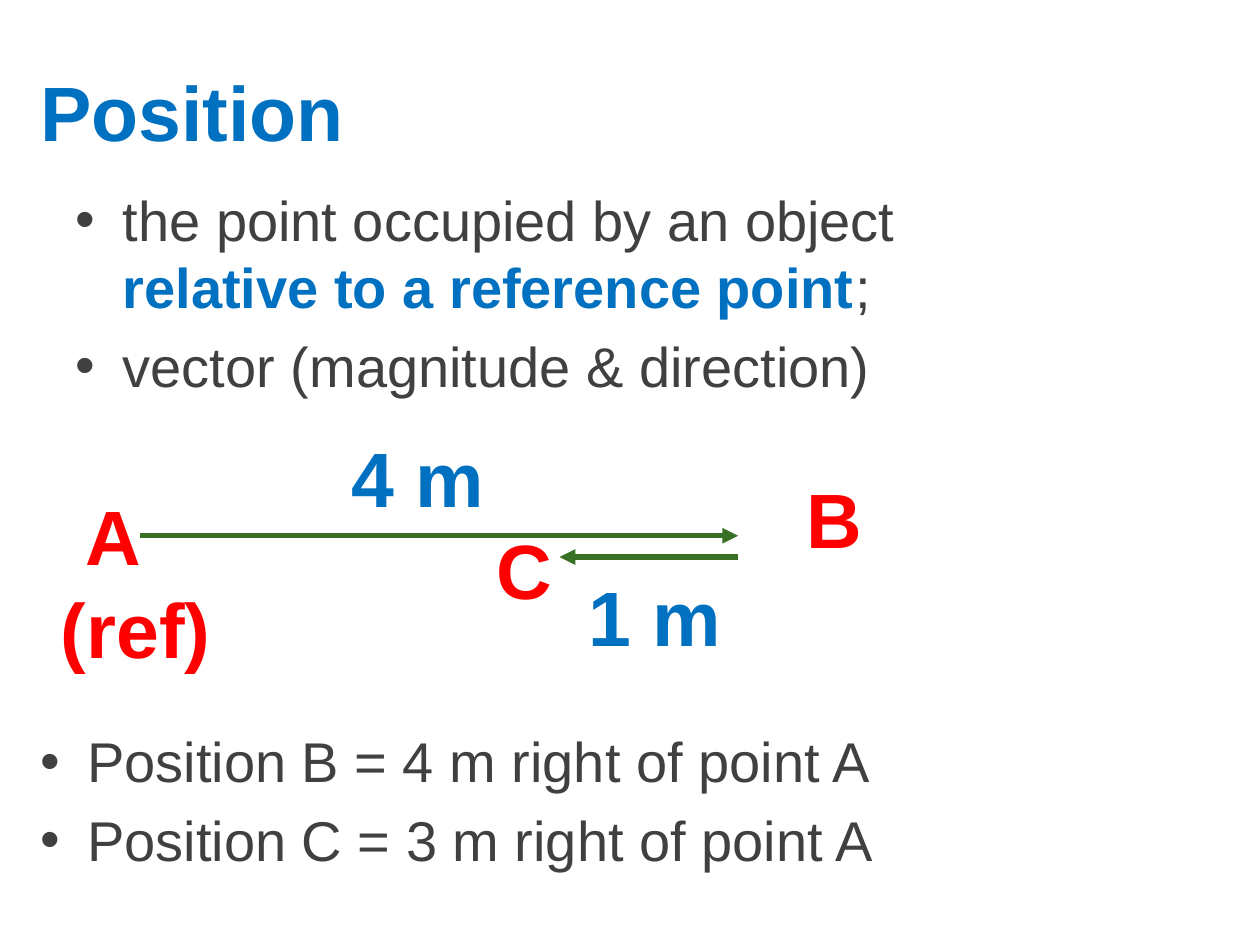
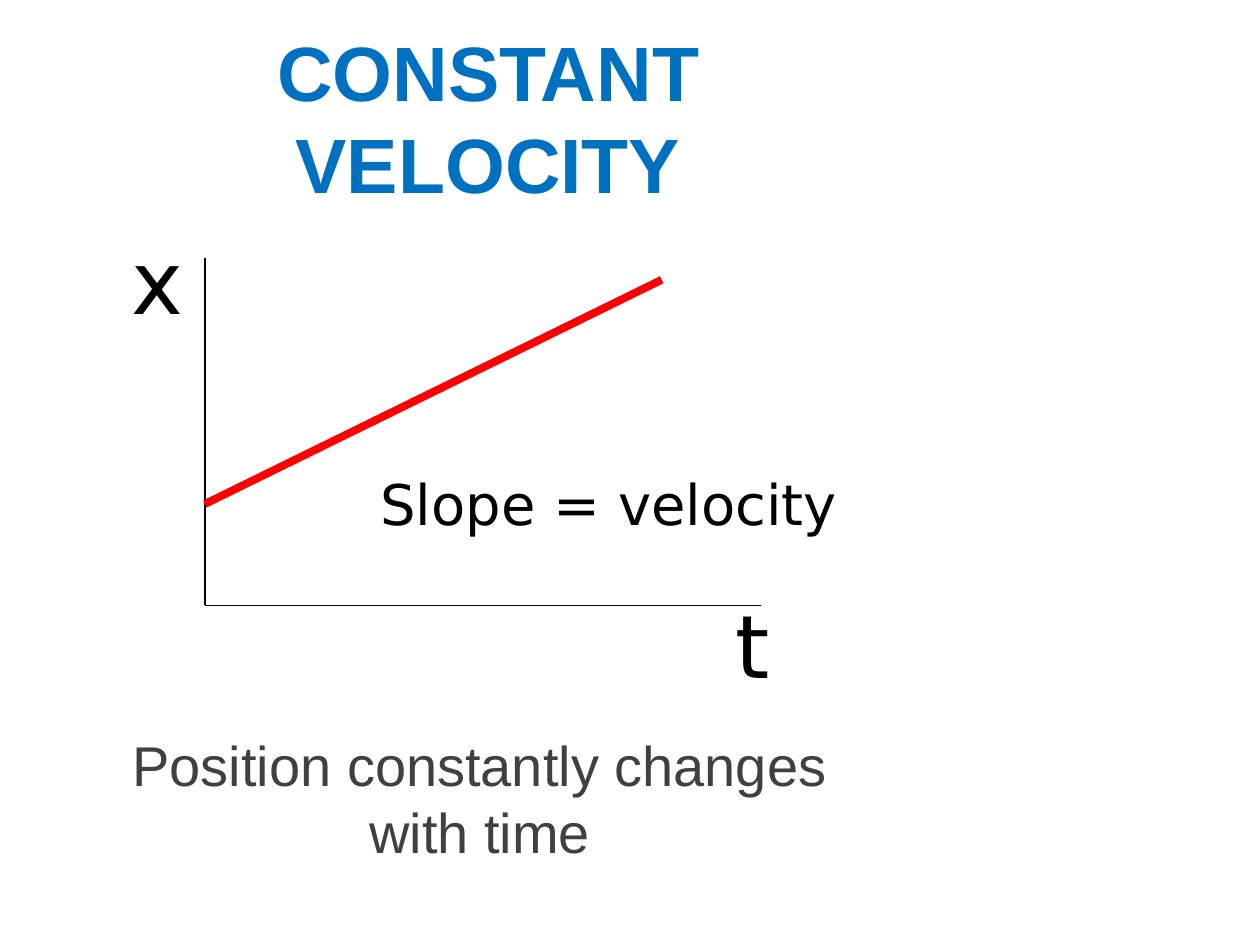
import pptx
import pptx.dml.color
import pptx.enum.shapes
import pptx.enum.text
import pptx.oxml
import pptx.oxml.ns
import pptx.util
from pptx.util import Cm

BLUE = pptx.dml.color.RGBColor(0x00, 0x70, 0xC0)
RED = pptx.dml.color.RGBColor(0xFF, 0x00, 0x00)
GREEN = pptx.dml.color.RGBColor(0x38, 0x70, 0x25)
GREY = pptx.dml.color.RGBColor(0x40, 0x40, 0x40)
BLACK = pptx.dml.color.RGBColor(0x00, 0x00, 0x00)
CENTER = pptx.enum.text.PP_ALIGN.CENTER
LEFT = pptx.enum.text.PP_ALIGN.LEFT
MIDDLE = pptx.enum.text.MSO_ANCHOR.MIDDLE
TOP = pptx.enum.text.MSO_ANCHOR.TOP
FIXED = pptx.enum.text.MSO_AUTO_SIZE.NONE
GROW = pptx.enum.text.MSO_AUTO_SIZE.SHAPE_TO_FIT_TEXT


class LessonDeck:
    """Hold the lesson style and draw elements on the current slide."""

    heading_size = 44
    list_size = 32
    text_font = "Arial"
    graph_font = "DejaVu Sans"

    def __init__(self):
        self.deck = pptx.Presentation()
        self.deck.slide_width, self.deck.slide_height = Cm(25.4), Cm(19.05)
        self.slide = None

    def add_slide(self):
        self.slide = self.deck.slides.add_slide(self.deck.slide_layouts[1])

    def place(self, shape, left, top, width, height):
        shape.left, shape.top = Cm(left), Cm(top)
        shape.width, shape.height = Cm(width), Cm(height)

    def add_box(self, left, top, width, height):
        return self.slide.shapes.add_textbox(Cm(left), Cm(top), Cm(width), Cm(height))

    def set_frame(self, shape, anchor, auto_size=FIXED):
        frame = shape.text_frame
        frame.word_wrap = True
        frame.auto_size = auto_size
        frame.vertical_anchor = anchor
        return frame

    def format_paragraph(self, para, size, color, align=LEFT, bold=False, font=text_font):
        para.alignment = align
        para.font.name = font
        para.font.size = pptx.util.Pt(size)
        para.font.bold = bold
        para.font.color.rgb = color

    def write_heading(self, shape, text, color, align):
        para = self.set_frame(shape, MIDDLE).paragraphs[0]
        para.text = text
        self.format_paragraph(para, self.heading_size, color, align, bold=True)

    def title(self, text, left, top, align=LEFT):
        shape = self.slide.shapes.title
        self.place(shape, left, top, 17.15, 3.18)
        self.write_heading(shape, text, BLUE, align)

    def label(self, text, color, left, top, width):
        self.write_heading(self.add_box(left, top, width, 2.36), text, color, CENTER)

    def set_bullet(self, para, bulleted):
        properties = para._p.get_or_add_pPr()
        indent = Cm(0.95) if bulleted else 0
        properties.set("marL", str(indent))
        properties.set("indent", str(-indent))
        tags = (("a:buFont", "typeface", "Arial"), ("a:buChar", "char", "•"))
        for tag, name, value in tags if bulleted else (("a:buNone", None, None),):
            element = pptx.oxml.ns.qn(tag)
            bullet = properties.makeelement(element, {name: value} if name else {})
            properties.insert_element_before(bullet, "a:tabLst", "a:defRPr", "a:extLst")

    def write_list(self, shape, items, bulleted=True):
        frame = self.set_frame(shape, TOP)
        for index, spans in enumerate(items):
            para = frame.add_paragraph() if index else frame.paragraphs[0]
            for text, highlighted in spans:
                span = para.add_run()
                span.text = text
                if highlighted:
                    span.font.bold = True
                    span.font.color.rgb = BLUE
            self.format_paragraph(para, self.list_size, GREY, LEFT if bulleted else CENTER)
            para.space_before = pptx.util.Pt(6.4)
            self.set_bullet(para, bulleted)

    def body(self, items, left, top, width, height, bulleted=True):
        shape = self.slide.placeholders[1]
        self.place(shape, left, top, width, height)
        self.write_list(shape, items, bulleted)

    def list_box(self, items, left, top, width, height):
        self.write_list(self.add_box(left, top, width, height), items)

    def graph_text(self, text, size, left, top, width, height):
        box = self.add_box(left, top, width, height)
        para = self.set_frame(box, TOP, GROW).paragraphs[0]
        para.text = text
        self.format_paragraph(para, size, BLACK, font=self.graph_font)
        para.space_before = pptx.util.Pt(11.2)

    def line(self, start, end, color, weight, arrow=False):
        ends = [Cm(length) for length in (*start, *end)]
        straight = pptx.enum.shapes.MSO_CONNECTOR.STRAIGHT
        connector = self.slide.shapes.add_connector(straight, *ends)
        connector.line.color.rgb = color
        connector.line.width = pptx.util.Pt(weight)
        if arrow:
            outline = connector.line._get_or_add_ln()
            head = pptx.oxml.ns.qn("a:tailEnd")
            outline.append(outline.makeelement(head, {"type": "triangle"}))
        properties = connector._element.spPr
        properties.append(properties.makeelement(pptx.oxml.ns.qn("a:effectLst"), {}))


def draw_position(lesson):
    lesson.add_slide()
    lesson.title("Position", 0.56, 0.64)
    definition = [
        [("the point occupied by an object ", False),
         ("relative to a reference point", True), (";", False)],
        [("vector (magnitude & direction)", False)],
    ]
    lesson.body(definition, 1.27, 3.61, 17.27, 4.65)
    lesson.line((2.82, 10.8), (14.88, 10.8), GREEN, 3, arrow=True)
    lesson.line((14.88, 11.23), (11.28, 11.23), GREEN, 3, arrow=True)
    for text, color, left, top, width in (
        ("4 m", BLUE, 5.89, 8.43, 5.08),
        ("1 m", BLUE, 11.35, 11.23, 3.71),
        ("A", RED, 0.56, 9.6, 3.45),
        ("B", RED, 15.09, 9.25, 3.45),
        ("C", RED, 8.84, 10.29, 3.45),
        ("(ref)", RED, 0.2, 11.48, 5.08),
    ):
        lesson.label(text, color, left, top, width)
    positions = [[(f"Position {point} = {distance} m right of point A", False)]
                 for point, distance in (("B", 4), ("C", 3))]
    lesson.list_box(positions, 0.56, 14.53, 17.58, 4.52)


def draw_constant_velocity(lesson):
    lesson.add_slide()
    lesson.title("CONSTANT VELOCITY", 1.27, 0.76, CENTER)
    lesson.body([[("Position constantly changes with time", False)]],
                1.32, 14.6, 16.71, 3.38, bulleted=False)
    origin = (4.13, 12.2)
    lesson.line((4.13, 5.21), origin, BLACK, 0.75)
    lesson.line(origin, (15.34, 12.2), BLACK, 0.75)
    lesson.line((13.34, 5.64), (4.13, 10.16), RED, 4.5)
    lesson.graph_text("x", 50, 2.41, 4.45, 1.47, 2.39)
    lesson.graph_text("t", 50, 14.58, 11.79, 1.47, 2.39)
    lesson.graph_text("Slope = velocity", 32, 7.42, 9.35, 9.75, 1.63)


def main():
    lesson = LessonDeck()
    draw_position(lesson)
    draw_constant_velocity(lesson)
    lesson.deck.save("out.pptx")


if __name__ == "__main__":
    main()
